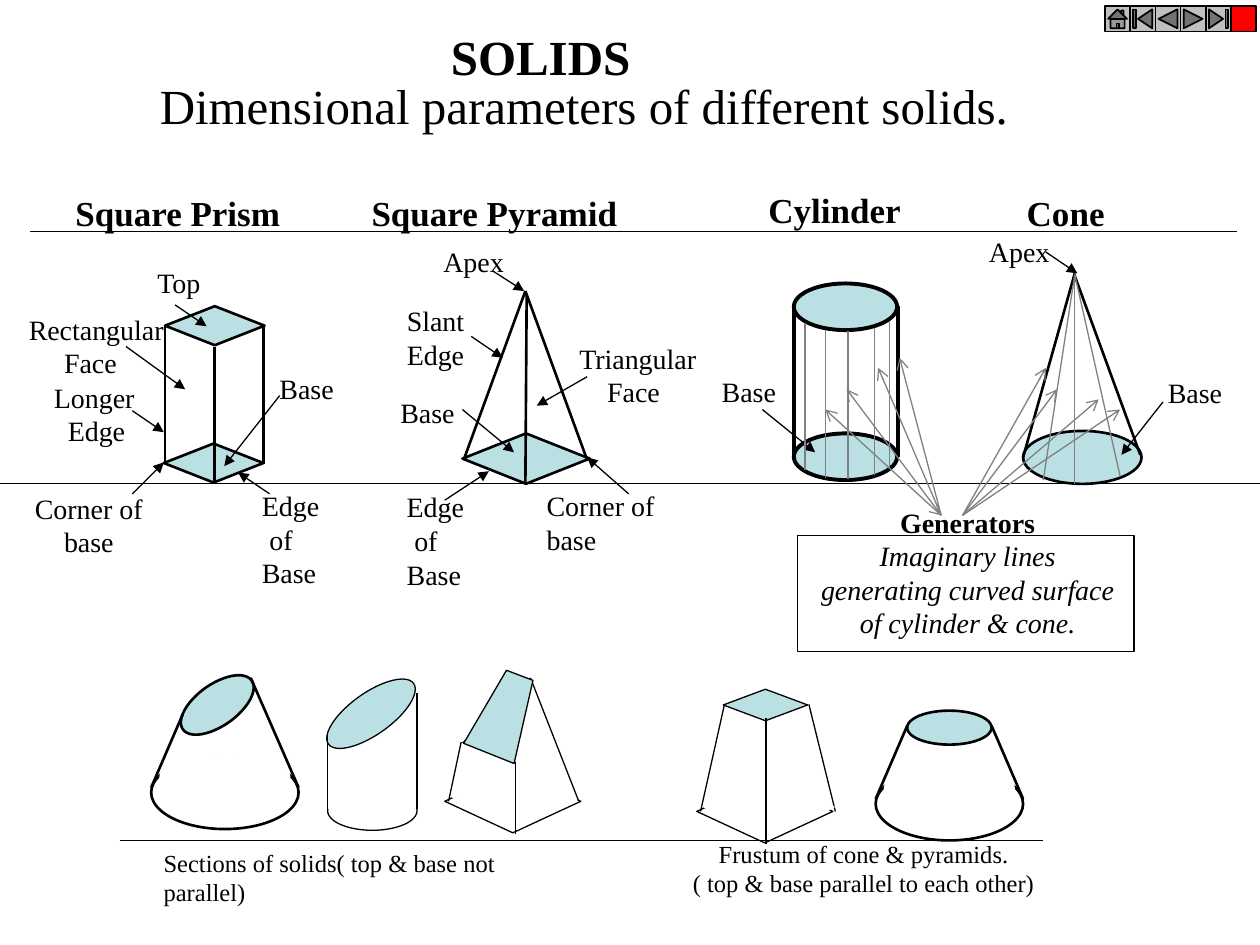
from collections import namedtuple

from lxml.etree import SubElement
from pptx import Presentation
from pptx.dml.color import RGBColor
from pptx.enum.shapes import MSO_CONNECTOR, MSO_SHAPE
from pptx.enum.text import MSO_AUTO_SIZE, PP_ALIGN
from pptx.oxml.ns import qn
from pptx.util import Inches, Pt

BLACK, WHITE, GRAY, PALE = "000000", "FFFFFF", "808080", "BBE0E3"
ELLIPSE, DIAMOND, RECTANGLE = MSO_SHAPE.OVAL, MSO_SHAPE.DIAMOND, MSO_SHAPE.RECTANGLE
Box = namedtuple("Box", "slide left top")


def rgb(value):
    """Turn a hex string into a colour."""
    return RGBColor.from_string(value)


def paint(shape, fill, outline, weight):
    """Fill and outline a shape without a shadow."""
    shape.shadow.inherit = False
    shape.fill.solid()
    shape.fill.fore_color.rgb = rgb(fill)
    shape.line.color.rgb = rgb(outline)
    shape.line.width = Pt(weight)


def add_figure(box, kind, x, y, width, height, fill=PALE, outline=BLACK, weight=1.5, turn=0):
    """Place a preset shape inside a box."""
    figure = box.slide.shapes.add_shape(
        kind, Inches(box.left + x), Inches(box.top + y), Inches(width), Inches(height))
    paint(figure, fill, outline, weight)
    figure.rotation = turn


def add_line(box, x1, y1, x2, y2, color=BLACK, weight=0.75, head=None, tail=None):
    """Draw a straight line inside a box, with optional arrowheads."""
    line = box.slide.shapes.add_connector(
        MSO_CONNECTOR.STRAIGHT, Inches(box.left + x1), Inches(box.top + y1),
        Inches(box.left + x2), Inches(box.top + y2))
    line.line.color.rgb = rgb(color)
    line.line.width = Pt(weight)
    properties = line._element.spPr
    for end, arrow in (("a:headEnd", head), ("a:tailEnd", tail)):
        if arrow:
            SubElement(properties.find(qn("a:ln")), qn(end)).set("type", arrow)
    SubElement(properties, qn("a:effectLst"))


def add_lines(box, ends, **style):
    """Draw several lines of one style."""
    for points in ends:
        add_line(box, *points, **style)


def add_text(box, text, x, y, width, height=0.37, size=16, bold=False, align=PP_ALIGN.LEFT,
             wrap=False, indent=0, indented=1, bold_first=False, italic_rest=False):
    """Write one paragraph per line of text, indenting one of them."""
    label = box.slide.shapes.add_textbox(
        Inches(box.left + x), Inches(box.top + y), Inches(width), Inches(height))
    frame = label.text_frame
    frame.word_wrap = wrap
    frame.auto_size = MSO_AUTO_SIZE.SHAPE_TO_FIT_TEXT
    for index, words in enumerate(text.split("\n")):
        paragraph = frame.paragraphs[0] if index == 0 else frame.add_paragraph()
        paragraph.alignment = align
        if indent and index == indented:
            paragraph._p.get_or_add_pPr().set("marL", str(Inches(indent)))
        run = paragraph.add_run()
        run.text = words
        run.font.name = "Times New Roman"
        run.font.size = Pt(size)
        run.font.bold = bold or (bold_first and index == 0)
        run.font.italic = italic_rest and index > 0
        run.font.color.rgb = rgb(BLACK)


def add_heading(box, text, x, y, width):
    """Write the name of a solid."""
    add_text(box, text, x, y, width, 0.43, size=20, bold=True)


def add_navigation(box):
    """Draw the row of navigation buttons."""
    buttons = (MSO_SHAPE.ACTION_BUTTON_HOME, MSO_SHAPE.ACTION_BUTTON_BEGINNING,
               MSO_SHAPE.ACTION_BUTTON_BACK_OR_PREVIOUS,
               MSO_SHAPE.ACTION_BUTTON_FORWARD_OR_NEXT,
               MSO_SHAPE.ACTION_BUTTON_END, MSO_SHAPE.ACTION_BUTTON_CUSTOM)
    for index, button in enumerate(buttons):
        fill = "FF0000" if button == MSO_SHAPE.ACTION_BUTTON_CUSTOM else "C0C0C0"
        add_figure(box, button, 0.2 * index, 0, 0.2, 0.2, fill=fill, weight=1)


def add_title(box):
    """Write the two title lines."""
    add_text(box, "SOLIDS", 2.31, 0, 1.63, 0.57, size=28, bold=True)
    add_text(box, "Dimensional parameters of different solids.", 0, 0.39, 6.94, 0.57, size=28)


def add_prism(box):
    """Draw the labelled square prism."""
    add_figure(box, DIAMOND, 1.31, 1.03, 0.79, 0.31)
    add_lines(box, [(x, 1.18, x, 2.28) for x in (1.31, 2.09)], weight=1.5)
    add_figure(box, DIAMOND, 1.3, 2.12, 0.79, 0.31)
    add_line(box, 1.7, 2.43, 1.7, 1.35, weight=1.5)
    add_lines(box, [(1, 1.35, 1.47, 1.69), (1.39, 1.02, 1.64, 1.19), (1.05, 1.86, 1.3, 2.03),
                    (1.05, 2.52, 1.3, 2.27), (2.14, 2.52, 1.89, 2.35),
                    (2.22, 1.74, 1.78, 2.3)], tail="triangle")
    add_heading(box, "Square Prism", 0.5, 0.07, 1.83)
    add_text(box, "Top", 1.15, 0.66, 0.56)
    add_text(box, "Rectangular\nFace", 0.13, 1.03, 1.28, 0.64, indent=0.28)
    add_text(box, "Longer\nEdge", 0.33, 1.57, 0.9, 0.64, indent=0.11)
    add_text(box, "Base", 2.12, 1.5, 0.63)
    add_text(box, "Edge\nof\nBase", 1.98, 2.43, 0.66, 0.9, indent=0.06)
    add_text(box, "Corner of base", 0.01, 2.45, 1.39, 0.64, align=PP_ALIGN.CENTER, wrap=True)


def add_pyramid(box):
    """Draw the labelled square pyramid."""
    add_lines(box, [(1.37, 0.91, x, 2.25) for x in (0.88, 1.86)], weight=1.5)
    add_figure(box, DIAMOND, 0.87, 2.04, 1.01, 0.4)
    add_line(box, 1.38, 0.94, 1.37, 2.44, weight=1.5)
    add_lines(box, [(0.94, 1.27, 1.19, 1.44), (1.86, 1.59, 1.46, 1.82), (1.11, 0.75, 1.36, 0.91),
                    (2.19, 2.52, 1.86, 2.23), (0.73, 2.57, 1.08, 2.34),
                    (0.87, 1.85, 1.28, 2.19)], tail="triangle")
    add_heading(box, "Square Pyramid", 0.05, 0.07, 2.15)
    add_text(box, "Apex", 0.62, 0.49, 0.68)
    add_text(box, "Slant\nEdge", 0.33, 0.96, 0.72, 0.64)
    add_text(box, "Triangular\nFace", 1.7, 1.26, 1.14, 0.64, indent=0.22)
    add_text(box, "Base", 0.28, 1.69, 0.63)
    add_text(box, "Edge\nof\nBase", 0.33, 2.44, 0.66, 0.9, indent=0.06)
    add_text(box, "Corner of base", 1.44, 2.43, 1.39, 0.64, wrap=True)


def add_cylinder(box):
    """Draw the labelled cylinder."""
    add_figure(box, ELLIPSE, 0.7, 0.85, 0.82, 0.37, weight=2.25)
    add_lines(box, [(x, 1.03, x, 2.23) for x in (0.7, 1.53)], weight=2.25)
    add_figure(box, ELLIPSE, 0.7, 2.04, 0.82, 0.37, weight=2.25)
    add_line(box, 0.45, 1.85, 0.87, 2.19, tail="triangle")
    add_heading(box, "Cylinder", 0.4, 0.05, 1.25)
    add_text(box, "Base", 0.03, 1.52, 0.63)


def add_cone(box):
    """Draw the labelled cone."""
    add_figure(box, ELLIPSE, 0.42, 2.02, 0.94, 0.42)
    add_lines(box, [(0.83, 0.77, 0.42, 2.23), (0.83, 0.79, 1.35, 2.21)], weight=1.5)
    add_lines(box, [(0.6, 0.6, 0.85, 0.77), (1.53, 1.79, 1.2, 2.21)], tail="triangle")
    add_heading(box, "Cone", 0.35, 0.07, 0.82)
    add_text(box, "Apex", 0.05, 0.41, 0.68)
    add_text(box, "Base", 1.47, 1.53, 0.63)


def add_generators(box):
    """Draw the generators of cylinder and cone with their explanation."""
    tops = ((0.09, 0.46), (0.25, 0.52), (0.43, 0.53), (0.64, 0.5), (0.76, 0.45))
    add_lines(box, [(x, y, x, y + 1.17) for x, y in tops], color=GRAY)
    feet = ((1.98, 1.71), (2.23, 1.74), (2.59, 1.68))
    add_lines(box, [(2.23, 0.08, *foot) for foot in feet], color=GRAY)
    add_line(box, 0.25, 1.15, 1.17, 1.99, color=GRAY, head="arrow", tail="arrow")
    fans = ((1.17, ((0.42, 0.99), (0.67, 0.82), (0.84, 0.74))),
            (1.34, ((2, 0.82), (2.09, 0.99), (2.42, 1.07), (2.59, 1.15))))
    for start, tips in fans:
        add_lines(box, [(*tip, start, 1.99) for tip in tips], color=GRAY, head="arrow")
    add_figure(box, RECTANGLE, 0.03, 2.15, 2.67, 0.92, fill=WHITE, weight=0.75)
    add_text(box, "Generators\nImaginary lines\ngenerating curved surface\nof cylinder & cone.",
             0.08, 1.86, 2.6, 1.17, align=PP_ALIGN.CENTER, bold_first=True, italic_rest=True)


def add_truncated_cone(box, top, right_edge, turn=0):
    """Draw a cone cut by a level or tilted plane."""
    add_figure(box, ELLIPSE, 0, 0.67, 1.17, 0.58, fill=WHITE)
    add_figure(box, ELLIPSE, *top, turn=turn)
    add_lines(box, [(0.25, 0.34, 0, 0.92), (*right_edge, 1.17, 0.92)], weight=1.5)
    add_figure(box, ELLIPSE, 0.07, 0.66, 1.03, 0.35, fill=WHITE, outline=WHITE, weight=0.75)


def add_cut_cylinder(box):
    """Draw a cylinder cut by a tilted plane."""
    add_figure(box, ELLIPSE, 0.07, 0.88, 0.71, 0.31, fill=WHITE, weight=0.75)
    add_figure(box, ELLIPSE, 0, 0.1, 0.83, 0.33, weight=0.75, turn=324.6)
    add_line(box, 0.07, 0.43, 0.07, 1.02)
    add_figure(box, RECTANGLE, 0.08, 0.85, 0.7, 0.17, fill=WHITE, outline=WHITE, weight=0.75)
    add_line(box, 0.78, 0.1, 0.78, 1.02)


def add_cut_pyramid(box):
    """Draw a pyramid cut by a tilted plane."""
    add_figure(box, DIAMOND, 0, 0.81, 1.08, 0.5, fill=WHITE, weight=0.75)
    add_line(box, 0.13, 0.59, 0.03, 1.06)
    add_figure(box, DIAMOND, 0.06, 0.77, 1.03, 0.51, fill=WHITE, outline=WHITE, weight=0.75)
    add_lines(box, [(0.56, 0.75, 0.56, 1.32), (0.14, 0.59, 0.56, 0.75),
                    (0.15, 0.59, 0.67, 0.09), (0.68, 0.08, 1.06, 1.05)])
    corners = [(Inches(box.left + x), Inches(box.top + y))
               for x, y in ((0.55, 0.76), (0.7, 0.1), (0.49, 0.02), (0.15, 0.6))]
    section = box.slide.shapes.build_freeform(*corners[0])
    section.add_line_segments(corners[1:], close=True)
    paint(section.convert_to_shape(), PALE, BLACK, 0.75)


def add_pyramid_frustum(box):
    """Draw a pyramid cut parallel to its base."""
    add_figure(box, DIAMOND, 0, 0.79, 1.08, 0.5, fill=WHITE, weight=0.75)
    add_figure(box, DIAMOND, 0.21, 0.07, 0.67, 0.25, weight=0.75)
    add_lines(box, [(0.22, 0.19, 0.03, 1.04), (0.89, 0.19, 1.1, 1.04)])
    add_figure(box, DIAMOND, 0.06, 0.75, 1.03, 0.51, fill=WHITE, outline=WHITE, weight=0.75)
    add_line(box, 0.55, 0.3, 0.55, 1.3)


def add_captions(box):
    """Write the captions below the cut solids."""
    add_line(box, 0, 0, 7.33, 0)
    add_text(box, "Sections of solids( top & base not parallel)", 0.25, 0.01, 3.52, 0.33,
             size=14, wrap=True)
    add_text(box, "Frustum of cone & pyramids.\n( top & base parallel to each other)",
             4.45, -0.06, 2.91, 0.57, size=14, align=PP_ALIGN.CENTER, wrap=True)


def main():
    """Build the slide and save it."""
    deck = Presentation()
    deck.slide_width, deck.slide_height = Inches(10), Inches(7.5)
    slide = deck.slides.add_slide(deck.slide_layouts[6])
    add_title(Box(slide, 1.17, 0.16))
    add_lines(Box(slide, 0, 0), [(0.24, 1.84, 9.82, 1.84), (0, 3.84, 10, 3.84)])
    for draw, left in ((add_prism, 0), (add_pyramid, 2.8), (add_cylinder, 5.6), (add_cone, 7.7)):
        draw(Box(slide, left, 1.4))
    add_generators(Box(slide, 6.3, 2.1))
    add_truncated_cone(Box(slide, 6.95, 5.42), (0.25, 0.22, 0.67, 0.27), (0.92, 0.34))
    add_truncated_cone(Box(slide, 1.2, 5.33), (0.19, 0.1, 0.67, 0.33), (0.79, 0.05), turn=324.6)
    add_pyramid_frustum(Box(slide, 5.53, 5.4))
    add_cut_pyramid(Box(slide, 3.53, 5.3))
    add_cut_cylinder(Box(slide, 2.53, 5.4))
    add_captions(Box(slide, 0.95, 6.67))
    add_navigation(Box(slide, 8.77, 0.05))
    deck.save("out.pptx")


if __name__ == "__main__":
    main()
